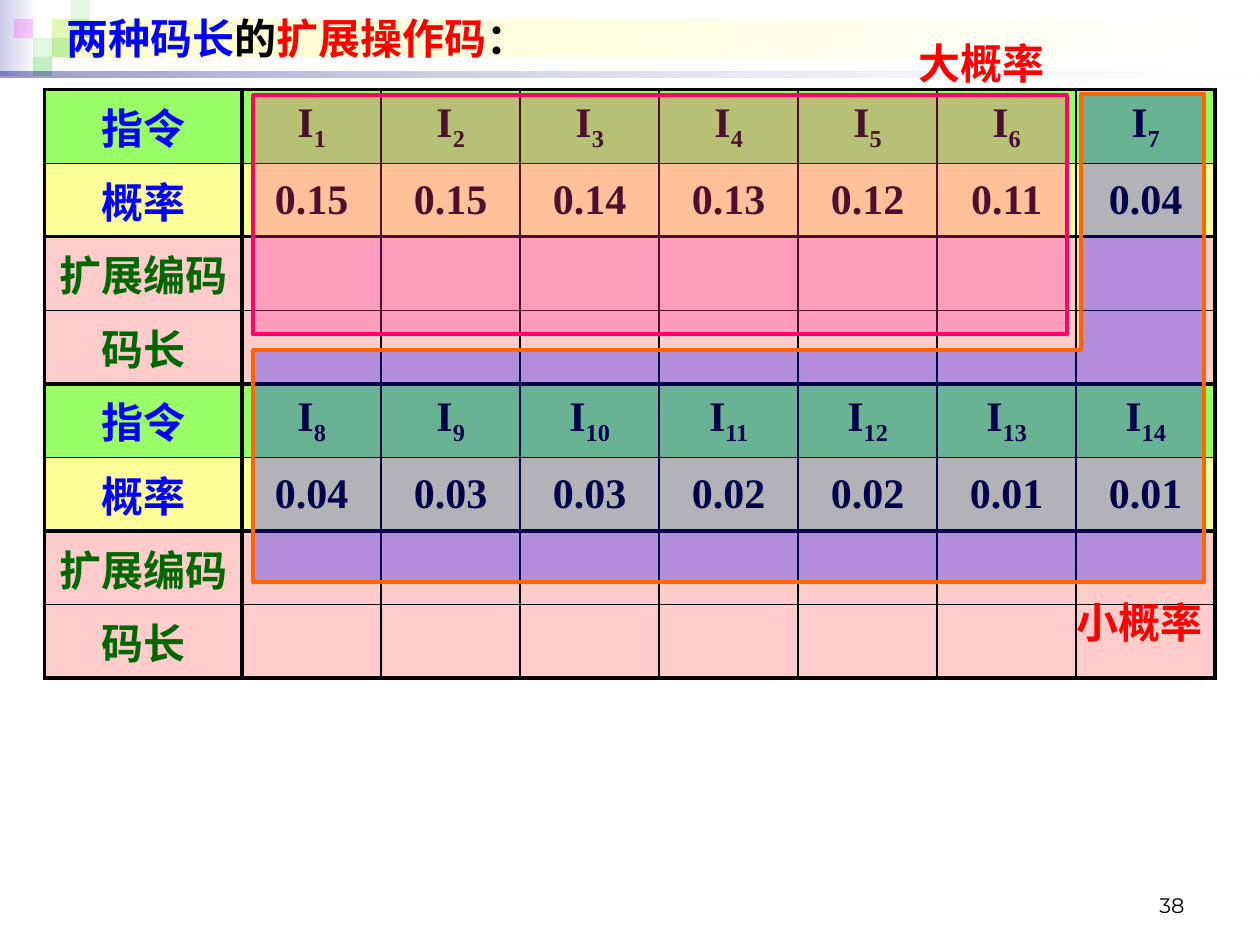
import pptx
import pptx.util
import pptx.dml.color
import pptx.enum.shapes
import pptx.enum.text
import pptx.oxml.ns
from lxml import etree

Pt = pptx.util.Pt
RECT = pptx.enum.shapes.MSO_SHAPE.RECTANGLE
ALIGN = pptx.enum.text.PP_ALIGN
ANCHOR = pptx.enum.text.MSO_ANCHOR
qn = pptx.oxml.ns.qn

INK = {
    "black": "000000", "white": "FFFFFF", "blue": "0000FF", "red": "FF0000",
    "green": "006600", "lime": "99FF66", "yellow": "FFFF99", "rose": "FFCCCC",
    "mist": "CCCCE6", "cream": "FFFFCC", "navy": "00007D", "leaf": "33CC33",
    "violet": "FF00FF", "pink": "FF3399", "crimson": "FF0066", "orange": "FF6600",
}
SERIF = "Times New Roman"

# Row kind: label colour and fill
KINDS = {
    "指令": ("blue", "lime"), "概率": ("blue", "yellow"),
    "扩展编码": ("green", "rose"), "码长": ("green", "rose"),
}
ODDS = [
    ["0.15", "0.15", "0.14", "0.13", "0.12", "0.11", "0.04"],
    ["0.04", "0.03", "0.03", "0.02", "0.02", "0.01", "0.01"],
]


def rgb(name):
    return pptx.dml.color.RGBColor.from_string(INK[name])


def style(para, color="black", size=24, face=SERIF, bold=True):
    font = para.font
    font.name, font.size, font.bold = face, Pt(size), bold
    font.color.rgb = rgb(color)


def fade(shape, *levels):
    """Set the opacity, in percent, of each fill colour in turn."""
    for node, level in zip(shape.element.spPr.iter(qn("a:srgbClr")), levels):
        etree.SubElement(node, qn("a:alpha"), val=str(level * 1000))


def block(slide, box, color, alpha=100):
    shape = slide.shapes.add_shape(RECT, *map(Pt, box))
    shape.shadow.inherit = False
    shape.fill.solid()
    shape.fill.fore_color.rgb = rgb(color)
    fade(shape, alpha)
    shape.line.fill.background()
    return shape


def blend(slide, box, start, end):
    shape = block(slide, box, start)
    shape.fill.gradient()
    shape.fill.gradient_angle = 0
    for stop, name in zip(shape.fill.gradient_stops, (start, end)):
        stop.color.rgb = rgb(name)
    return shape


def edge(shape, color):
    shape.line.color.rgb = rgb(color)
    shape.line.width = Pt(2.25)


def text(slide, box, parts, align=ALIGN.LEFT, anchor=ANCHOR.TOP, **look):
    frame = slide.shapes.add_textbox(*map(Pt, box)).text_frame
    frame.word_wrap = True
    frame.vertical_anchor = anchor
    para = frame.paragraphs[0]
    para.alignment = align
    style(para, **look)
    for words, color in parts:
        run = para.add_run()
        run.text = words
        run.font.color.rgb = rgb(color)


def header(slide, box):
    left, top, width, height = box
    unit = height / 4.1
    # Fading bands
    blend(slide, (left, top, 22, 4 * unit), "mist", "white")
    blend(slide, (left + 29.5, top + unit, 687.5, 2 * unit), "cream", "white")
    # Mosaic: column, row, colour, opacity
    tiles = [
        (2, 1, "leaf", 15), (3, 0, "leaf", 15), (3, 1, "leaf", 30),
        (1, 2, "leaf", 15), (0, 1, "violet", 20), (2, 2, "leaf", 30),
        (1, 3, "leaf", 30),
    ]
    for col, row, color, alpha in tiles:
        spot = (left + 7.9 + col * unit, top + row * unit, unit, unit)
        block(slide, spot, color, alpha)
    # Rule under the title
    rule = blend(slide, (left, top + height - 3.6, width, 3.6), "navy", "white")
    fade(rule, 40, 10)
    # Title
    text(slide, (left + 31, top + 3.6, 669, 45), [
        ("两种码长", "blue"), ("的", "black"), ("扩展操作码", "red"), ("：", "black")])


def border(cell, row, col, last):
    thick, thin = 2.25, 0.75
    odd = row % 2
    sides = {
        "L": thick if col < 2 else 1,
        "R": thick if col in (0, last) else 1,
        "T": thin if odd else thick,
        "B": thick if odd else thin,
    }
    props = cell._tc.get_or_add_tcPr()
    for side, width in sides.items():
        line = etree.SubElement(props, qn("a:ln" + side), w=str(Pt(width)))
        fill = etree.SubElement(line, qn("a:solidFill"))
        etree.SubElement(fill, qn("a:srgbClr"), val=INK["black"])


def entry(para, kind, group, col):
    """Write one value: an instruction with its index, or its probability."""
    if kind == "指令":
        para.add_run().text = "I"
        index = para.add_run()
        index.text = str(group * 7 + col)
        index.font._element.set("baseline", "-25000")
    elif kind == "概率":
        para.add_run().text = ODDS[group][col - 1]


def codes(slide, box):
    left, top, width, height = box
    kinds = list(KINDS) * 2
    first, count = 113, 8
    table = slide.shapes.add_table(len(kinds), count, *map(Pt, box)).table
    for col, column in enumerate(table.columns):
        column.width = Pt((width - first) / (count - 1) if col else first)
    for row, kind in enumerate(kinds):
        table.rows[row].height = Pt(height / len(kinds))
        color, fill = KINDS[kind]
        for col in range(count):
            cell = table.cell(row, col)
            border(cell, row, col, count - 1)
            cell.fill.solid()
            cell.fill.fore_color.rgb = rgb(fill)
            cell.vertical_anchor = ANCHOR.MIDDLE
            para = cell.text_frame.paragraphs[0]
            para.alignment = ALIGN.CENTER
            style(para, "black" if col else color)
            if col:
                entry(para, kind, row // 4, col)
            else:
                para.add_run().text = kind


def zones(slide, box):
    left, top, width, height = box
    # Low probability: I7 and the whole second group
    step, notch = left + 473, top + 146.5
    right, base = left + width, top + height
    pen = slide.shapes.build_freeform(Pt(step), Pt(top))
    pen.add_line_segments([(Pt(x), Pt(y)) for x, y in [
        (right, top), (right, base), (left, base), (left, notch), (step, notch)]])
    low = pen.convert_to_shape()
    low.shadow.inherit = False
    low.fill.solid()
    low.fill.fore_color.rgb = rgb("blue")
    fade(low, 30)
    edge(low, "orange")
    # High probability: I1 to I6
    edge(block(slide, (left, top + 1, 465, 136.5), "pink", 30), "crimson")
    # Zone names
    for words, x, y in [("大概率", 340, -35.5), ("小概率", 430.5, 284)]:
        text(slide, (left + x, top + y, 119, 36), [(words, "red")], ALIGN.RIGHT)


def main():
    deck = pptx.Presentation()
    deck.slide_width, deck.slide_height = Pt(720), Pt(540)
    slide = deck.slides.add_slide(deck.slide_layouts[6])
    header(slide, (0, 0, 720, 44.5))
    text(slide, (516, 492, 168, 36), [("38", "black")], ALIGN.RIGHT,
         ANCHOR.BOTTOM, size=12, face="Montserrat", bold=False)
    codes(slide, (25.4, 51.2, 669, 336.5))
    zones(slide, (144.7, 53.5, 543.5, 279))
    deck.save("out.pptx")


if __name__ == "__main__":
    main()
